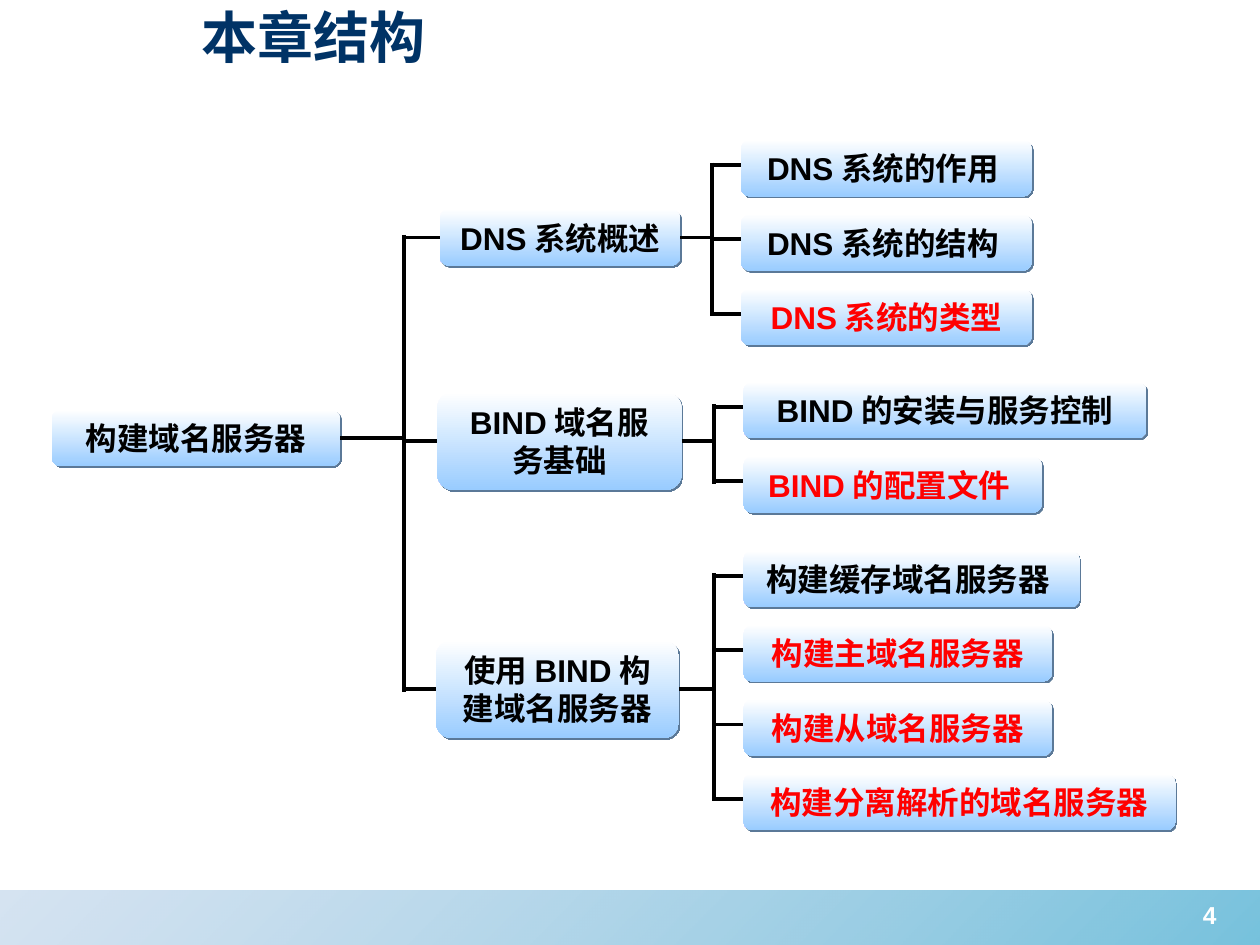
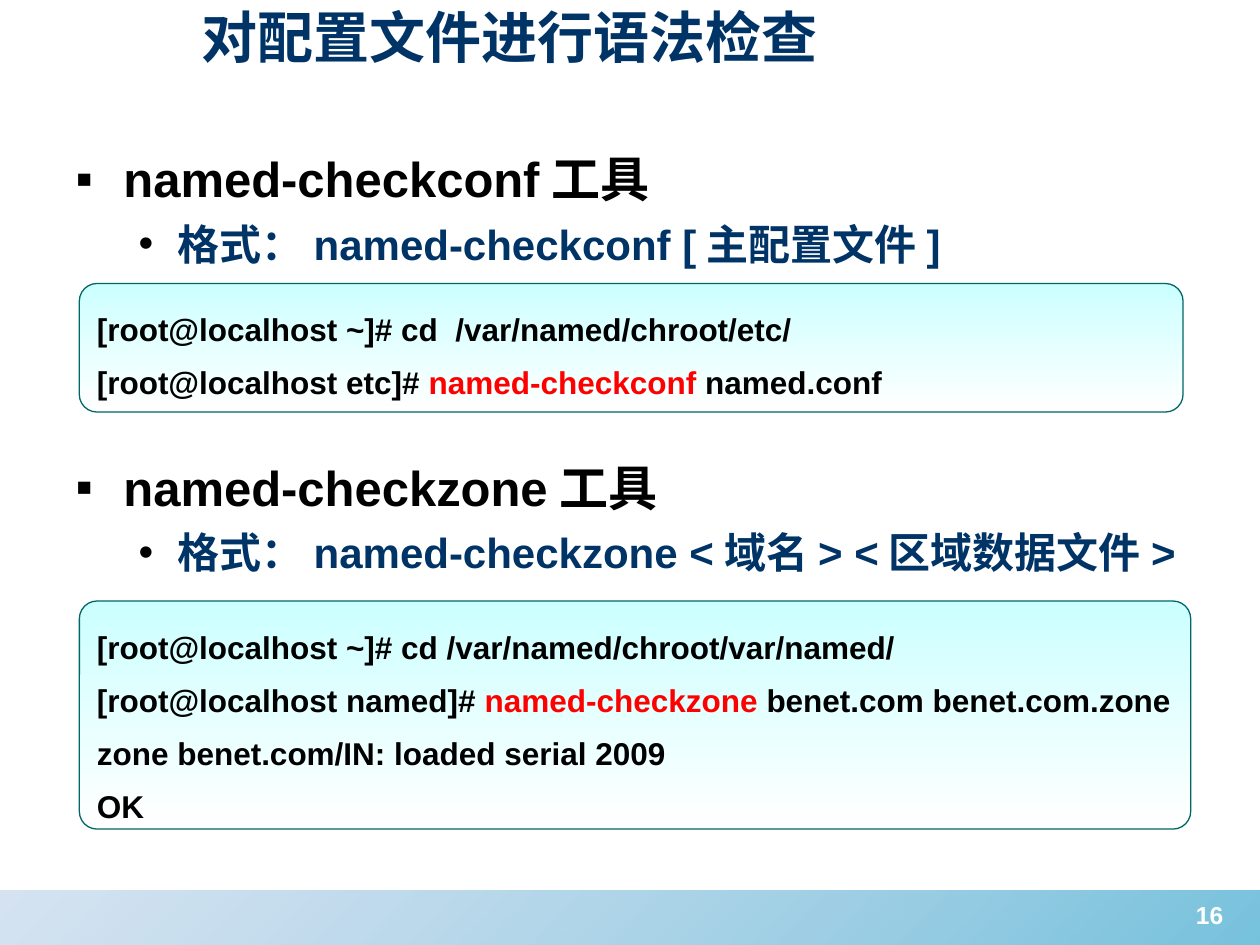
from lxml import etree
from pptx import Presentation
from pptx.dml.color import RGBColor
from pptx.enum import shapes, text
from pptx.oxml.ns import qn
from pptx.util import Inches, Pt

NAVY = RGBColor(0x00, 0x33, 0x66)
BLACK = RGBColor(0x00, 0x00, 0x00)
WHITE = RGBColor(0xFF, 0xFF, 0xFF)
RED = RGBColor(0xFF, 0x00, 0x00)
SKY = RGBColor(0x99, 0xCC, 0xFF)
CYAN = RGBColor(0xCC, 0xFF, 0xFF)
TEAL = RGBColor(0x00, 0x66, 0x66)
BAND_DEEP = RGBColor(0x1C, 0x99, 0xC6)
BAND_PALE = RGBColor(0x88, 0xB0, 0xD8)
BOX_SHADOW = RGBColor(0x5B, 0x79, 0x98)
TEXT_SHADOW = RGBColor(0xC0, 0xC0, 0xC0)

LEAF_H, LEAF_PITCH, LEAF_JOIN = 0.45, 0.59, 0.2
STUB, TRUNK_X, OVERLAP = 0.23, 3.21, 0.02

ROOT = ("构建域名服务器", 0.41, 3.25, 2.29, 0.45)
BRANCHES = [
    (("DNS系统概述", 3.49, 1.66, 1.91, 0.45), 5.88, 1.11,
     [("DNS系统的作用 ", 2.31, BLACK), ("DNS系统的结构 ", 2.31, BLACK),
      ("DNS系统的类型", 2.31, RED)]),
    (("BIND域名服务基础", 3.47, 3.11, 1.94, 0.78), 5.9, 3.03,
     [("BIND的安装与服务控制", 3.2, BLACK), ("BIND的配置文件 ", 2.37, RED)]),
    (("使用BIND构建域名服务器", 3.46, 5.08, 1.93, 0.78), 5.9, 4.37,
     [("构建缓存域名服务器 ", 2.67, BLACK), ("构建主域名服务器", 2.45, RED),
      ("构建从域名服务器", 2.45, RED), ("构建分离解析的域名服务器", 3.43, RED)]),
]

TOOLS = [
    (0, "named-checkconf工具", 0),
    (1, "格式：named-checkconf [主配置文件]", 6),
    (0, "named-checkzone工具", 108),
    (1, "格式：named-checkzone <域名> <区域数据文件>", 6),
]
LEVELS = [("▪", 0.38, 0.38, 28, BLACK), ("•", 0.81, 0.31, 24, NAVY)]

CHECKCONF = [
    [("[root@localhost ~]# cd  /var/named/chroot/etc/", BLACK)],
    [("[root@localhost etc]# ", BLACK), ("named-checkconf ", RED), ("named.conf", BLACK)],
]
CHECKZONE = [
    [("[root@localhost ~]# cd /var/named/chroot/var/named/", BLACK)],
    [("[root@localhost named]# ", BLACK), ("named-checkzone", RED),
     (" benet.com benet.com.zone", BLACK)],
    [("zone benet.com/IN: loaded serial 2009", BLACK)],
    [("OK", BLACK)],
]


class Deck:
    """Holds the shared style and the current slide."""

    def __init__(self):
        self.prs = Presentation()
        self.prs.slide_width, self.prs.slide_height = Inches(10), Inches(7.5)
        self.s = None

    def slide(self, layout, title, number):
        first = self.s is None
        self.s = self.prs.slides.add_slide(self.prs.slide_layouts[layout])
        if first:
            self.band()
        sp = self.s.shapes.title
        self.place(sp, 1.5, -0.03, 8.07, 0.64)
        tf = self.frame(sp, text.MSO_ANCHOR.MIDDLE)
        tf.paragraphs[0].alignment = text.PP_ALIGN.LEFT
        self.run(tf.paragraphs[0], title, 32, NAVY)
        sp = self.s.shapes.add_textbox(*map(Inches, (9.24, 7.09, 0.72, 0.52)))
        p = self.frame(sp).paragraphs[0]
        p.alignment = text.PP_ALIGN.CENTER
        self.run(p, number, 14, WHITE)

    def band(self):
        sp = self.shape(shapes.MSO_SHAPE.RECTANGLE, 0, 7.07, 10, 0.43, BAND_DEEP, BAND_PALE, 135)
        colors = sp._element.spPr.iter(qn("a:srgbClr"))
        for color, opacity in zip(list(colors), (60, 35)):
            etree.SubElement(color, qn("a:alpha"), val=str(opacity * 1000))
        sp._element.nvSpPr.cNvPr.set("id", "99")
        self.prs.slide_master.shapes._spTree.insert(2, sp._element)

    def place(self, sp, x, y, w, h):
        sp.left, sp.top, sp.width, sp.height = map(Inches, (x, y, w, h))

    def frame(self, sp, anchor=text.MSO_ANCHOR.TOP, top=0.05):
        tf = sp.text_frame
        tf.word_wrap = True
        tf.auto_size = text.MSO_AUTO_SIZE.NONE
        tf.vertical_anchor = anchor
        tf.margin_left = tf.margin_right = Inches(0.1)
        tf.margin_top, tf.margin_bottom = Inches(top), Inches(0.05)
        return tf

    def run(self, p, words, size, color):
        r = p.add_run()
        r.text = words
        r.font.name, r.font.size, r.font.bold = "Arial", Pt(size), True
        r.font.color.rgb = color
        return r

    def paragraph(self, tf, i):
        return tf.paragraphs[0] if i == 0 else tf.add_paragraph()

    def indent(self, p, left, hanging):
        pPr = p._p.get_or_add_pPr()
        pPr.set("marL", str(Inches(left)))
        pPr.set("indent", str(-Inches(hanging)))
        return pPr

    def drop_shadow(self, effects, color):
        shadow = etree.SubElement(effects, qn("a:outerShdw"), blurRad="0",
                                  dist=str(Pt(1.4)), dir="2700000", algn="ctr")
        etree.SubElement(shadow, qn("a:srgbClr"), val=str(color))

    def shape(self, kind, x, y, w, h, start, end, angle=270):
        sp = self.s.shapes.add_shape(kind, *map(Inches, (x, y, w, h)))
        sp.shadow.inherit = False
        sp.line.fill.background()
        sp.fill.gradient()
        sp.fill.gradient_angle = angle
        for stop, color in zip(sp.fill.gradient_stops, (start, end)):
            stop.color.rgb = color
        return sp

    def node(self, words, x, y, w, h, color=BLACK):
        sp = self.shape(shapes.MSO_SHAPE.ROUNDED_RECTANGLE, x, y, w, h, WHITE, SKY)
        self.drop_shadow(sp._element.spPr.find(qn("a:effectLst")), BOX_SHADOW)
        p = self.frame(sp, text.MSO_ANCHOR.MIDDLE).paragraphs[0]
        p.alignment = text.PP_ALIGN.CENTER
        self.run(p, words, 18, color)

    def line(self, x1, y1, x2, y2):
        cx = self.s.shapes.add_connector(shapes.MSO_CONNECTOR.STRAIGHT,
                                         *map(Inches, (x1, y1, x2, y2)))
        cx.line.color.rgb, cx.line.width = BLACK, Pt(2.25)
        etree.SubElement(cx._element.spPr, qn("a:effectLst"))

    def spine(self, x, y1, y2):
        self.line(x, y1 - OVERLAP, x, y2 + OVERLAP)

    def branch(self, box, leaf_x, leaf_top, leaves):
        _, x, y, w, h = box
        middle, spine_x = y + h / 2, leaf_x - STUB
        self.node(*box)
        self.line(TRUNK_X, middle, x, middle)
        self.line(x + w, middle, spine_x, middle)
        for i, (words, width, color) in enumerate(leaves):
            top = leaf_top + i * LEAF_PITCH
            self.node(words, leaf_x, top, width, LEAF_H, color)
            self.line(spine_x, top + LEAF_JOIN, leaf_x, top + LEAF_JOIN)
        self.spine(spine_x, leaf_top + LEAF_JOIN, top + LEAF_JOIN)
        return middle

    def bullets(self, items):
        sp = self.s.placeholders[1]
        self.place(sp, 0.5, 1.03, 9, 5.55)
        tf = self.frame(sp, top=0.15)
        for i, (level, words, before) in enumerate(items):
            mark, left, hanging, size, color = LEVELS[level]
            p = self.paragraph(tf, i)
            p.level = level
            pPr = self.indent(p, left, hanging)
            bullet_color = etree.SubElement(pPr, qn("a:buClr"))
            etree.SubElement(bullet_color, qn("a:srgbClr"), val=str(BLACK))
            etree.SubElement(pPr, qn("a:buChar"), char=mark)
            p.space_before = Pt(before)
            r = self.run(p, words, size, color)
            effects = etree.Element(qn("a:effectLst"))
            r._r.rPr.find(qn("a:solidFill")).addnext(effects)
            self.drop_shadow(effects, TEXT_SHADOW)

    def code(self, y, w, h, lines):
        sp = self.shape(shapes.MSO_SHAPE.ROUNDED_RECTANGLE, 0.63, y, w, h, CYAN, WHITE)
        sp.adjustments[0] = 0.14 / h
        sp.line.color.rgb, sp.line.width = TEAL, Pt(0.75)
        tf = self.frame(sp, top=0.11)
        for i, runs in enumerate(lines):
            p = self.paragraph(tf, i)
            self.indent(p, 0.38, 0.38)
            p.alignment = text.PP_ALIGN.LEFT
            p.line_spacing, p.space_before = 1.2, Pt(4.5 if i else 0)
            for words, color in runs:
                self.run(p, words, 18, color)


def main():
    d = Deck()
    d.slide(5, "本章结构", "4")
    d.node(*ROOT)
    _, x, y, w, h = ROOT
    d.line(x + w, y + h / 2, TRUNK_X, y + h / 2)
    middles = [d.branch(*branch) for branch in BRANCHES]
    d.spine(TRUNK_X, middles[0], middles[-1])

    d.slide(1, "对配置文件进行语法检查", "16")
    d.bullets(TOOLS)
    d.code(2.25, 8.76, 1.02, CHECKCONF)
    d.code(4.77, 8.82, 1.81, CHECKZONE)
    d.prs.save("out.pptx")


if __name__ == "__main__":
    main()
